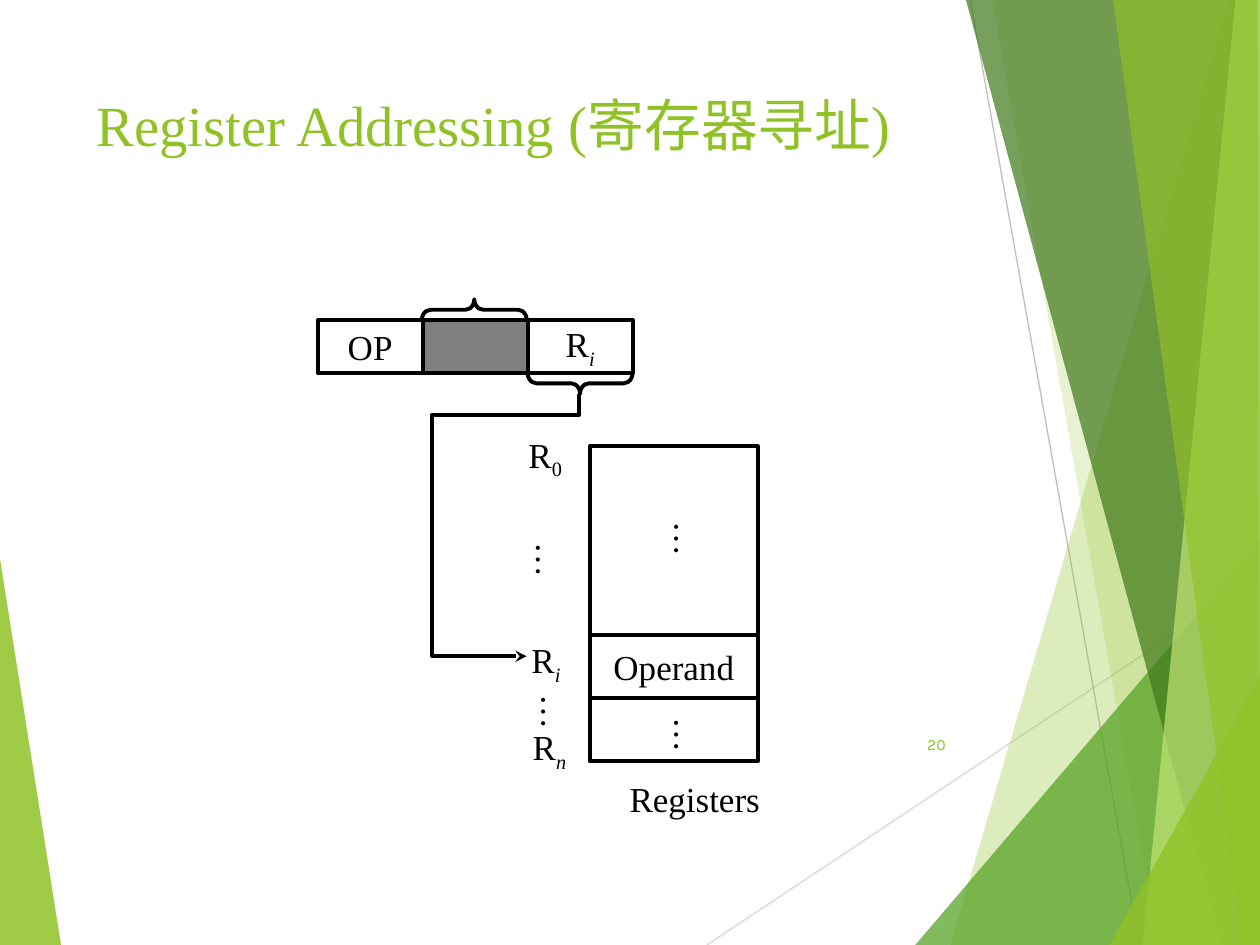
"""Build the register addressing slide."""
import pptx
import pptx.dml.color
import pptx.enum.shapes
import pptx.enum.text
import pptx.oxml.ns
import pptx.util
from lxml import etree

Pt = pptx.util.Pt
qn = pptx.oxml.ns.qn
SHAPE = pptx.enum.shapes.MSO_SHAPE
ALIGN = pptx.enum.text.PP_ALIGN
ANCHOR = pptx.enum.text.MSO_ANCHOR
AUTO = pptx.enum.text.MSO_AUTO_SIZE

BODY = {"name": "Times New Roman", "size": Pt(20)}
SUB = {**BODY, "italic": True}
GREEN = "90C226"
BLACK = "000000"
FACETS = [
    (GREEN, 30, [(702, 0), (543, 540), (721, 540), (721, 0)]),
    (GREEN, 20, [(567, 0), (662, 540), (721, 540), (721, 0)]),
    ("54A021", 72, [(523, 540), (720, 309), (721, 540)]),
    ("3F7819", 70, [(552, 0), (698, 540), (721, 540), (721, 0)]),
    ("C0E474", 70, [(706, 0), (653, 540), (721, 540), (720, 0)]),
    (GREEN, 65, [(636, 0), (710, 540), (720, 540), (718.5, 0)]),
    (GREEN, 80, [(634, 540), (721, 385), (721, 540)]),
]


def rgb(color):
    """Turn a hex string into a colour."""
    return pptx.dml.color.RGBColor.from_string(color)


def style(sp, fill=None, alpha=100, line=None):
    """Set fill, opacity and outline of a shape."""
    sp.shadow.inherit = False
    if fill:
        sp.fill.solid()
        sp.fill.fore_color.rgb = rgb(fill)
        clr = sp._element.spPr.find(".//" + qn("a:srgbClr"))
        etree.SubElement(clr, qn("a:alpha"), val=str(alpha * 1000))
    else:
        sp.fill.background()
    if line:
        sp.line.color.rgb = rgb(line)
        sp.line.width = Pt(2.25)
    else:
        sp.line.fill.background()


def write(tf, text, sub="", fmt=BODY, sub_fmt=SUB, color=BLACK, align=ALIGN.CENTER):
    """Write one paragraph with an optional subscript."""
    p = tf.paragraphs[0]
    p.alignment = align
    for part, values in ((text, fmt), (sub, sub_fmt)):
        if part:
            r = p.add_run()
            r.text = part
            r.font.color.rgb = rgb(color)
            for key, value in values.items():
                setattr(r.font, key, value)
            if part is sub:
                r._r.get_or_add_rPr().set("baseline", "-25000")


def add_text(s, box, text, sub="", wrap=False, grow=True, anchor=ANCHOR.TOP, **fmt):
    """Add a text box."""
    tf = s.shapes.add_textbox(*map(Pt, box)).text_frame
    tf.word_wrap = wrap
    tf.auto_size = AUTO.SHAPE_TO_FIT_TEXT if grow else AUTO.NONE
    tf.vertical_anchor = anchor
    write(tf, text, sub, **fmt)
    return tf


def add_dots(s, left, top):
    """Add a vertical ellipsis."""
    tf = add_text(s, (left, top, 38, 27.4), "…")
    tf._txBody.bodyPr.set("vert", "eaVert")


def add_cell(s, box, text="", sub="", fill=None, alpha=100):
    """Add an outlined rectangle with a centred label."""
    sp = s.shapes.add_shape(SHAPE.RECTANGLE, *map(Pt, box))
    style(sp, fill, alpha, BLACK)
    if text:
        tf = sp.text_frame
        tf.word_wrap = False
        tf.vertical_anchor = ANCHOR.MIDDLE
        write(tf, text, sub)


def add_brace(s, left, top, rotation):
    """Add a rotated brace."""
    sp = s.shapes.add_shape(SHAPE.LEFT_BRACE, *map(Pt, (left, top, 12, 60)))
    sp.rotation = rotation
    sp.adjustments[0] = 0.417
    style(sp, line=BLACK)


def add_path(s, points, close=True, **look):
    """Add a freeform through the points."""
    points = [(Pt(x), Pt(y)) for x, y in points]
    fb = s.shapes.build_freeform(*points[0])
    fb.add_line_segments(points[1:], close=close)
    sp = fb.convert_to_shape()
    style(sp, **look)
    return sp


def add_line(s, start, end, color):
    """Add a thin straight line."""
    kind = pptx.enum.shapes.MSO_CONNECTOR.STRAIGHT
    sp = s.shapes.add_connector(kind, *map(Pt, start + end))
    sp.line.color.rgb = rgb(color)
    sp.line.width = Pt(0.75)
    etree.SubElement(sp._element.spPr, qn("a:effectLst"))


def add_background(s):
    """Draw the facets and thin lines behind the content."""
    add_path(s, [(-0.5, 316), (35, 540.5), (-0.5, 540)], fill=GREEN, alpha=85)
    add_line(s, (404, 540), (721, 329), "D9D9D9")
    add_line(s, (554.5, 0), (651, 540), "BFBFBF")
    for fill, alpha, points in FACETS:
        add_path(s, points, fill=fill, alpha=alpha)


def add_instruction(s):
    """Draw the instruction word with its braces and arrow."""
    cells = [("OP", "", None), ("", "", BLACK), ("R", "i", None)]
    for i, (text, sub, fill) in enumerate(cells):
        add_cell(s, (181.5 + 60 * i, 183, 60, 30), text, sub, fill, 50)
    add_brace(s, 265, 147, 90)
    add_brace(s, 325.5, 189, 270)
    route = [(331, 225), (331, 237), (247, 237), (247, 375), (301, 375)]
    sp = add_path(s, route, close=False, line=BLACK)
    etree.SubElement(sp.line._get_or_add_ln(), qn("a:tailEnd"), type="stealth")


def add_registers(s):
    """Draw the register file with its labels."""
    for top, height, text in ((363, 36, "Operand"), (399, 36, ""), (255, 108, "")):
        add_cell(s, (337, top, 96, height), text)
    for left, top in ((371, 291), (371, 403), (292, 303), (295, 389.5)):
        add_dots(s, left, top)
    add_text(s, (294, 244, 35, 31), "R", "0", sub_fmt=BODY)
    add_text(s, (296, 361.5, 32, 31), "R", "i")
    add_text(s, (296, 411, 36, 31), "R", "n")
    add_text(s, (349, 441, 96, 31), "Registers", wrap=True)


def main():
    """Build and save the slide."""
    prs = pptx.Presentation()
    prs.slide_width, prs.slide_height = Pt(720), Pt(540)
    s = prs.slides.add_slide(prs.slide_layouts[6])
    add_background(s)
    add_text(s, (48, 48, 500, 59), "Register Addressing (寄存器寻址)", wrap=True,
             grow=False, fmt={**BODY, "size": Pt(32.4)}, color=GREEN,
             align=ALIGN.LEFT)
    add_text(s, (507.5, 411, 40, 29), "20", wrap=True, grow=False,
             anchor=ANCHOR.MIDDLE, fmt={"name": "Karla", "size": Pt(9)},
             color=GREEN, align=ALIGN.RIGHT)
    add_instruction(s)
    add_registers(s)
    prs.save("out.pptx")


main()
